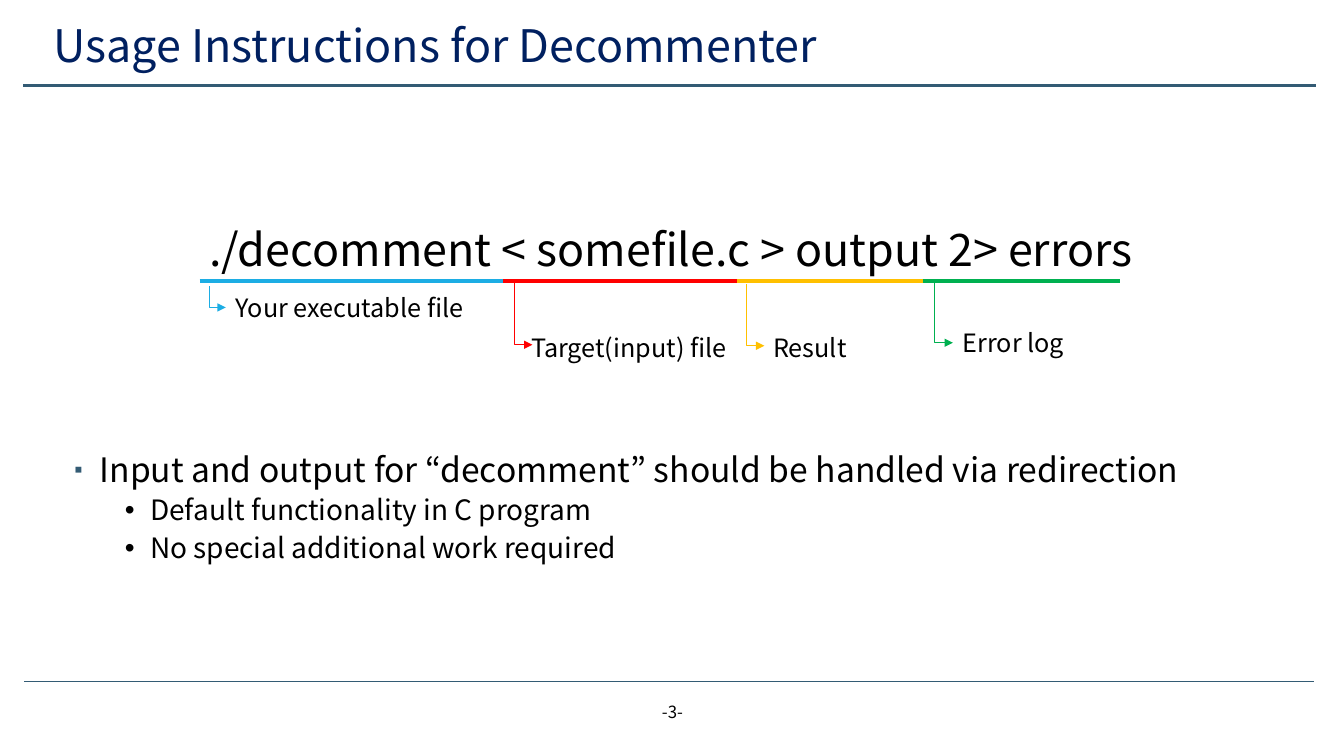
from dataclasses import dataclass

from lxml.etree import SubElement
from pptx import Presentation
from pptx.dml.color import RGBColor
from pptx.enum.shapes import MSO_CONNECTOR as Connector
from pptx.enum.text import MSO_ANCHOR as Anchor, PP_ALIGN as Align
from pptx.oxml.ns import qn
from pptx.util import Pt

PX = 9144


@dataclass(frozen=True)
class Theme:
    font: str = "Noto Sans CJK KR"
    text: str = "000000"
    title: str = "002060"
    paper: str = "FFFFFF"
    rule: str = "335B74"
    program: str = "1CADE4"
    source: str = "FF0000"
    result: str = "FFC000"
    errors: str = "00B050"
    heading_size: int = 32
    point_size: int = 24
    detail_size: int = 20
    label_size: int = 18
    page_size: int = 12


THEME = Theme()


def px(value):
    return int(value * PX)


def style_paragraph(paragraph, text, size, color=THEME.text):
    paragraph.text = text
    font = paragraph.font
    font.name, font.size = THEME.font, Pt(size)
    font.color.rgb = RGBColor.from_string(color)
    properties = paragraph._p.get_or_add_pPr().find(qn("a:defRPr"))
    SubElement(properties, qn("a:ea"), typeface=THEME.font)


def add_text(slide, box, text, size, color=THEME.text):
    shape = slide.shapes.add_textbox(*map(px, box))
    frame = shape.text_frame
    frame.word_wrap = True
    frame.vertical_anchor = Anchor.TOP
    style_paragraph(frame.paragraphs[0], text, size, color)
    return shape


def style_line(connector, color, width):
    connector.line.color.rgb = RGBColor.from_string(color)
    connector.line.width = Pt(width)
    SubElement(connector._element.spPr, qn("a:effectLst"))


def add_rule(slide, left, right, y, color, width):
    connector = slide.shapes.add_connector(
        Connector.STRAIGHT, px(left), px(y), px(right), px(y))
    style_line(connector, color, width)


def add_bent_arrow(slide, left, top, run, drop, color):
    x = left + (run - drop) / 2
    y = top + (drop - run) / 2
    connector = slide.shapes.add_connector(
        Connector.ELBOW, px(x), px(y), px(x + drop), px(y + run))
    properties = connector._element.spPr
    properties.find(qn("a:prstGeom")).set("prst", "bentConnector2")
    frame = properties.find(qn("a:xfrm"))
    frame.set("rot", "16200000")
    frame.set("flipH", "1")
    style_line(connector, color, 0.5)
    SubElement(properties.find(qn("a:ln")), qn("a:tailEnd"), type="triangle")


def add_bullet(paragraph, char, indent, color=None, percent=None):
    properties = paragraph._p.get_or_add_pPr()
    properties.set("marL", str(px(indent)))
    properties.set("indent", str(px(-25)))
    defaults = properties.find(qn("a:defRPr"))
    if color:
        fill = SubElement(properties, qn("a:buClr"))
        SubElement(fill, qn("a:srgbClr"), val=color)
    if percent:
        SubElement(properties, qn("a:buSzPct"), val=str(percent * 1000))
    SubElement(properties, qn("a:buFont"), typeface="Arial")
    SubElement(properties, qn("a:buChar"), char=char)
    properties.append(defaults)


def add_header(slide, box):
    left, top, width, height = box
    title = add_text(slide, (left + 20, top, width - 18, 63),
                     "Usage Instructions for Decommenter",
                     THEME.heading_size, THEME.title)
    title.text_frame.paragraphs[0].line_spacing = 0.9
    add_rule(slide, left, left + width, top + height, THEME.rule, 1.75)


def add_command(slide, box):
    left, top, width, height = box
    baseline = top + height
    add_text(slide, box, "./decomment < somefile.c > output 2> errors",
             THEME.heading_size)
    parts = [
        ("Your executable file", THEME.program, 0, 307, (10, 5, 16, 21), (26, 6, 259)),
        ("Result", THEME.result, 522, 717, (542, 3, 18, 61), (559, 46, 137)),
        ("Target(input) file", THEME.source, 301, 533, (312, 2, 18, 61), (319, 46, 215)),
        ("Error log", THEME.errors, 717, 913, (729, 0, 18, 61), (747, 41, 137)),
    ]
    for label, color, start, end, arrow, place in parts:
        add_rule(slide, left + start, left + end, baseline, color, 3)
        x, y, run, drop = arrow
        add_bent_arrow(slide, left + x, baseline + y, run, drop, color)
        x, y, label_width = place
        add_text(slide, (left + x, baseline + y, label_width, 40),
                 label, THEME.label_size)


def add_points(slide, box):
    shape = add_text(
        slide, box,
        "Input and output for “decomment” should be handled via redirection",
        THEME.point_size)
    shape.fill.solid()
    shape.fill.fore_color.rgb = RGBColor.from_string(THEME.paper)
    frame = shape.text_frame
    point = frame.paragraphs[0]
    point.line_spacing, point.space_before = 0.9, Pt(10)
    add_bullet(point, "▪", 25, THEME.rule, 70)
    for text in ("Default functionality in C program",
                 "No special additional work required"):
        detail = frame.add_paragraph()
        style_paragraph(detail, text, THEME.detail_size)
        detail.level = 1
        detail.line_spacing, detail.space_before = 0.9, Pt(5)
        add_bullet(detail, "•", 75)


def add_footer(slide, box):
    left, top, width, height = box
    add_rule(slide, left, left + width, top, THEME.rule, 0.5)
    page = add_text(slide, (left + 493, top + 15, 300, height - 15),
                    "-3-", THEME.page_size)
    page.text_frame.paragraphs[0].alignment = Align.CENTER


def main():
    presentation = Presentation()
    presentation.slide_width, presentation.slide_height = px(1333), px(750)
    slide = presentation.slides.add_slide(presentation.slide_layouts[6])
    add_header(slide, (23, 19, 1282, 66))
    add_points(slide, (64, 445, 1202, 215))
    add_command(slide, (198, 215, 954, 64))
    add_footer(slide, (24, 676, 1279, 55))
    presentation.save("out.pptx")


if __name__ == "__main__":
    main()
